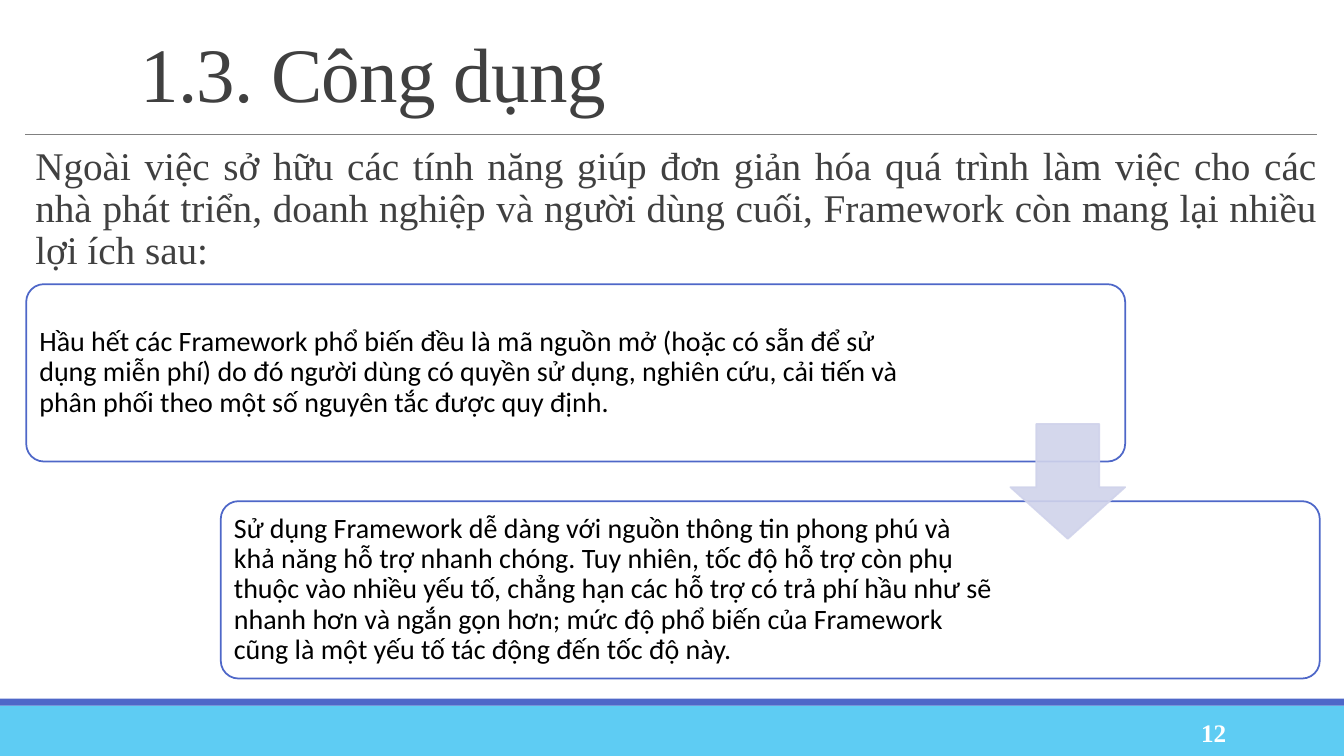
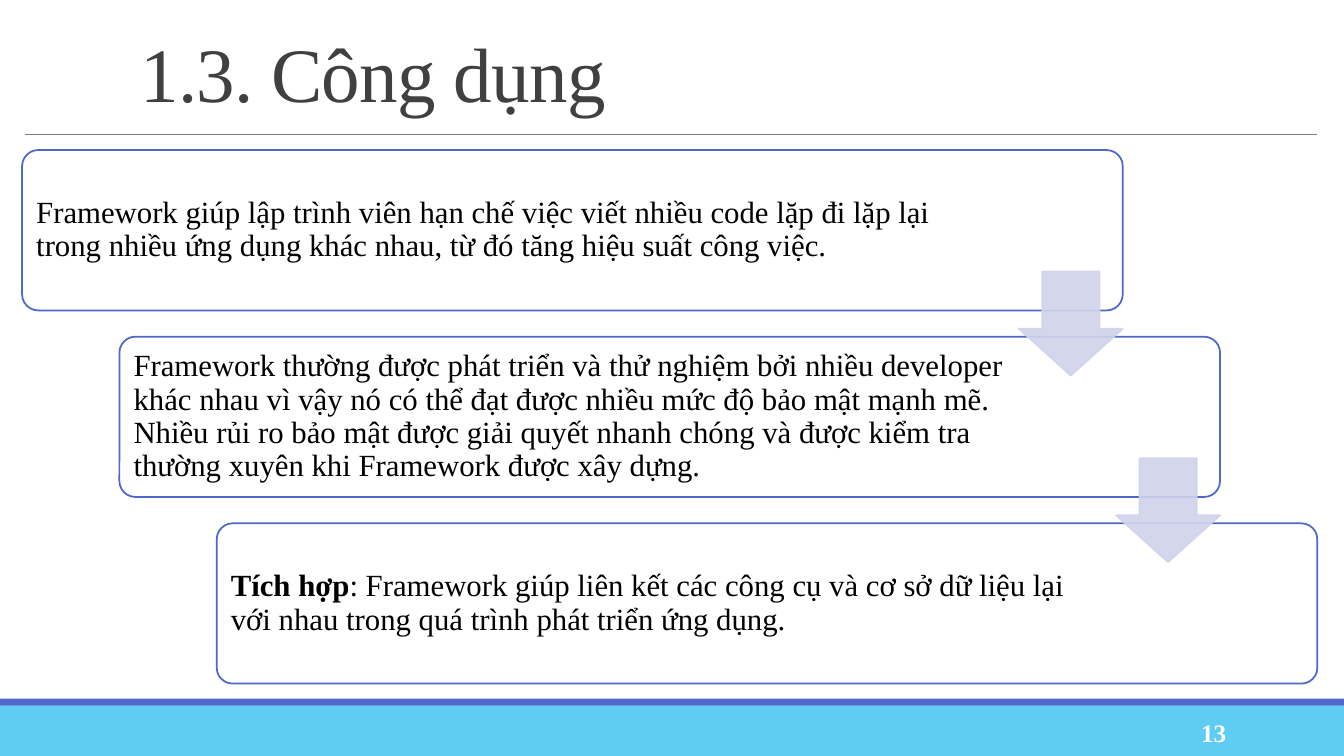
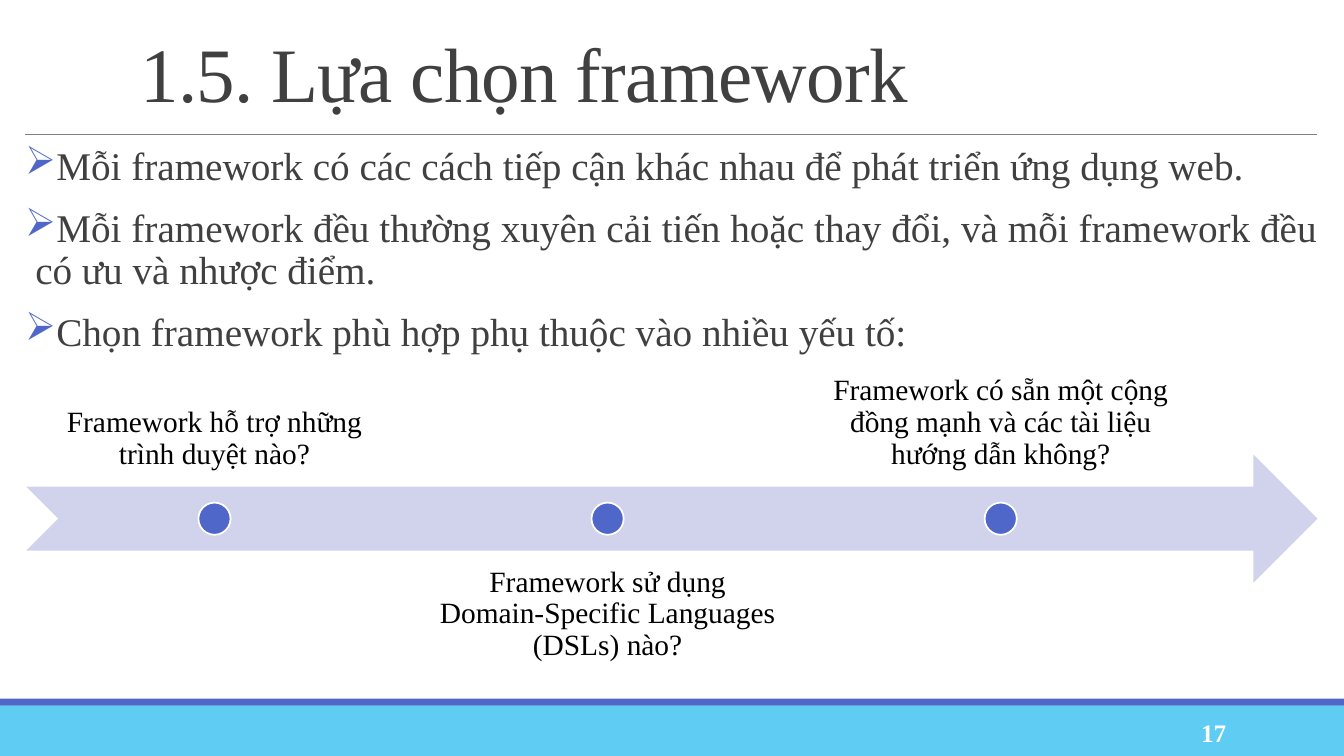
from lxml.etree import SubElement
from pptx import Presentation
from pptx.dml.color import RGBColor
from pptx.enum.shapes import MSO_CONNECTOR, MSO_SHAPE
from pptx.enum.text import MSO_ANCHOR, MSO_AUTO_SIZE, PP_ALIGN
from pptx.oxml.ns import qn
from pptx.util import Pt

COLORS = {
    "accent": "4E67C8",
    "footer": "5ECCF3",
    "pale": "D0D3EB",
    "rule": "808080",
    "text": "404040",
    "black": "000000",
    "white": "FFFFFF",
}
SERIF = "Times New Roman"
SANS = "Calibri"
WIDTH, HEIGHT = 960, 540

presentation = Presentation()
presentation.slide_width, presentation.slide_height = Pt(WIDTH), Pt(HEIGHT)
title_only = presentation.slide_layouts[5]


def write_text(shape, paragraphs, size, color="black", font=SERIF, align=PP_ALIGN.LEFT,
               anchor=MSO_ANCHOR.MIDDLE, margins=(7.2, 3.6), spacing=0.9,
               indent=0, bullet=None):
    """Fill a shape; each paragraph is a list of (text, bold) runs."""
    frame = shape.text_frame
    frame.word_wrap = True
    frame.auto_size = MSO_AUTO_SIZE.NONE
    frame.vertical_anchor = anchor
    frame.margin_left = frame.margin_right = Pt(margins[0])
    frame.margin_top = frame.margin_bottom = Pt(margins[1])
    for index, runs in enumerate(paragraphs):
        paragraph = frame.add_paragraph() if index else frame.paragraphs[0]
        paragraph.alignment = align
        paragraph.line_spacing = spacing
        if index:
            paragraph.space_before = Pt(12)
        paragraph.space_after = Pt(2)
        properties = paragraph._p.get_or_add_pPr()
        properties.set("marL", str(Pt(indent)))
        properties.set("indent", str(-Pt(indent) if bullet else 0))
        if bullet:
            bullet_color = SubElement(properties, qn("a:buClr"))
            SubElement(bullet_color, qn("a:srgbClr"), val=COLORS["accent"])
            SubElement(properties, qn("a:buChar"), char=bullet)
        for text, bold in runs:
            run = paragraph.add_run()
            run.text = text
            run.font.name = font
            run.font.size = Pt(size)
            run.font.bold = bold
            run.font.color.rgb = RGBColor.from_string(COLORS[color])


def add_figure(slide, kind, box, fill, line=None):
    """Add a flat preset shape with an optional outline."""
    shape = slide.shapes.add_shape(kind, *map(Pt, box))
    shape.shadow.inherit = False
    shape.fill.solid()
    shape.fill.fore_color.rgb = RGBColor.from_string(COLORS[fill])
    if line:
        shape.line.color.rgb = RGBColor.from_string(COLORS[line])
        shape.line.width = Pt(1.25)
    else:
        shape.line.fill.background()
    return shape


# Shared frame: bands, rule, title, slide number
slides = []
for title, number in [("1.3. Công dụng", "12"), ("1.3. Công dụng", "13"),
                      ("1.5. Lựa chọn framework", "17")]:
    slide = presentation.slides.add_slide(title_only)
    slides.append(slide)
    add_figure(slide, MSO_SHAPE.RECTANGLE, (0, 504, WIDTH, 36), "footer")
    add_figure(slide, MSO_SHAPE.RECTANGLE, (0, 499, WIDTH, 5), "accent")

    rule = slide.shapes.add_connector(MSO_CONNECTOR.STRAIGHT, Pt(18), Pt(96), Pt(941), Pt(96))
    rule.line.color.rgb = RGBColor.from_string(COLORS["rule"])
    rule.line.width = Pt(0.5)
    SubElement(rule.element.spPr, qn("a:effectLst"))

    heading = slide.shapes.title
    heading.left, heading.top, heading.width, heading.height = Pt(93), Pt(22), Pt(848), Pt(69)
    write_text(heading, [[(title, False)]], 55, "text", spacing=0.85)
    heading.text_frame.paragraphs[0].runs[0].font._element.set("spc", "-50")

    number_box = slide.shapes.add_textbox(Pt(780), Pt(508.5), Pt(103), Pt(29))
    write_text(number_box, [[(number, True)]], 18, "white", align=PP_ALIGN.RIGHT, spacing=1)

# Body text on the first and last slides
intro = [[("Ngoài việc sở hữu các tính năng giúp đơn giản hóa quá trình làm việc cho các nhà "
           "phát triển, doanh nghiệp và người dùng cuối, Framework còn mang lại nhiều lợi ích "
           "sau:", False)]]
points = [
    [("Mỗi framework có các cách tiếp cận khác nhau để phát triển ứng dụng web.", False)],
    [("Mỗi framework đều thường xuyên cải tiến hoặc thay đổi, và mỗi framework đều có ưu và "
      "nhược điểm.", False)],
    [("Chọn framework phù hợp phụ thuộc vào nhiều yếu tố:", False)],
]
for slide, paragraphs, bullet in [(slides[0], intro, None), (slides[2], points, "➢")]:
    body = slide.shapes.add_textbox(Pt(18), Pt(101), Pt(923), Pt(384))
    write_text(body, paragraphs, 28, "text", align=PP_ALIGN.JUSTIFY, anchor=MSO_ANCHOR.TOP,
               margins=(0, 3.6), indent=7.2, bullet=bullet)

# Stepped cards joined by down arrows
cascades = [
    {
        "slide": slides[0], "card": (18.7, 203, 785, 126.7), "step": (139, 155),
        "arrow": 82, "font": SANS, "size": 20, "margin": 5.8,
        "cards": [
            (654, [("Hầu hết các Framework phổ biến đều là mã nguồn mở (hoặc có sẵn để sử dụng "
                    "miễn phí) do đó người dùng có quyền sử dụng, nghiên cứu, cải tiến và phân "
                    "phối theo một số nguyên tắc được quy định.", False)]),
            (557, [("Sử dụng Framework dễ dàng với nguồn thông tin phong phú và khả năng hỗ trợ "
                    "nhanh chóng. Tuy nhiên, tốc độ hỗ trợ còn phụ thuộc vào nhiều yếu tố, chẳng "
                    "hạn các hỗ trợ có trả phí hầu như sẽ nhanh hơn và ngắn gọn hơn; mức độ phổ "
                    "biến của Framework cũng là một yếu tố tác động đến tốc độ này.", False)]),
        ],
    },
    {
        "slide": slides[1], "card": (15.8, 107.2, 786.2, 114.5), "step": (69.5, 133.3),
        "arrow": 74.3, "font": SERIF, "size": 22, "margin": 6.5,
        "cards": [
            (663, [("Framework giúp lập trình viên hạn chế việc viết nhiều code lặp đi lặp lại "
                    "trong nhiều ứng dụng khác nhau, từ đó tăng hiệu suất công việc.", False)]),
            (636, [("Framework thường được phát triển và thử nghiệm bởi nhiều developer khác "
                    "nhau vì vậy nó có thể đạt được nhiều mức độ bảo mật mạnh mẽ. Nhiều rủi ro "
                    "bảo mật được giải quyết nhanh chóng và được kiểm tra thường xuyên khi "
                    "Framework được xây dựng.", False)]),
            (636, [("Tích hợp", True),
                   (": Framework giúp liên kết các công cụ và cơ sở dữ liệu lại với nhau trong "
                    "quá trình phát triển ứng dụng.", False)]),
        ],
    },
]
for cascade in cascades:
    slide = cascade["slide"]
    left, top, width, height = cascade["card"]
    step_x, step_y = cascade["step"]
    for index, (text_width, runs) in enumerate(cascade["cards"]):
        x, y = left + index * step_x, top + index * step_y
        card = add_figure(slide, MSO_SHAPE.ROUNDED_RECTANGLE, (x, y, width, height),
                          "white", "accent")
        card.adjustments[0] = 0.1
        label = slide.shapes.add_textbox(Pt(x + 3.6), Pt(y + 3.6), Pt(text_width),
                                         Pt(height - 7.2))
        write_text(label, [runs], cascade["size"], font=cascade["font"],
                   margins=(cascade["margin"], cascade["margin"]))

    # Each arrow is centred on the gap and flush with the upper card's right edge
    size = cascade["arrow"]
    for index in range(len(cascade["cards"]) - 1):
        x = left + index * step_x + width - size
        y = top + index * step_y + (height + step_y - size) / 2
        arrow = add_figure(slide, MSO_SHAPE.DOWN_ARROW, (x, y, size, size), "pale", "pale")
        arrow.adjustments[0], arrow.adjustments[1] = 0.55, 0.45
        for color in arrow.element.spPr.iter(qn("a:srgbClr")):
            SubElement(color, qn("a:alpha"), val="90000")

# Timeline with labels alternating above and below
slide = slides[2]
arrow_top, arrow_height = 324.8, 91.4
middle = arrow_top + arrow_height / 2
label_width, dot_size = 267, 23
add_figure(slide, MSO_SHAPE.NOTCHED_RIGHT_ARROW, (18.7, arrow_top, 922.3, arrow_height), "pale")
questions = [
    "Framework hỗ trợ những trình duyệt nào?",
    "Framework sử dụng Domain-Specific Languages (DSLs) nào?",
    "Framework có sẵn một cộng đồng mạnh và các tài liệu hướng dẫn không?",
]
for index, question in enumerate(questions):
    center = 153.2 + index * 280.8
    below = index % 2 == 1
    label_top = middle + 22.8 if below else middle - 22.8 - arrow_height
    label = slide.shapes.add_textbox(Pt(center - label_width / 2), Pt(label_top),
                                     Pt(label_width), Pt(arrow_height))
    write_text(label, [[(question, False)]], 21, align=PP_ALIGN.CENTER,
               anchor=MSO_ANCHOR.TOP if below else MSO_ANCHOR.BOTTOM, margins=(11.5, 11.5))
    add_figure(slide, MSO_SHAPE.OVAL,
               (center - dot_size / 2, middle - dot_size / 2, dot_size, dot_size),
               "accent", "white")

presentation.save("out.pptx")
